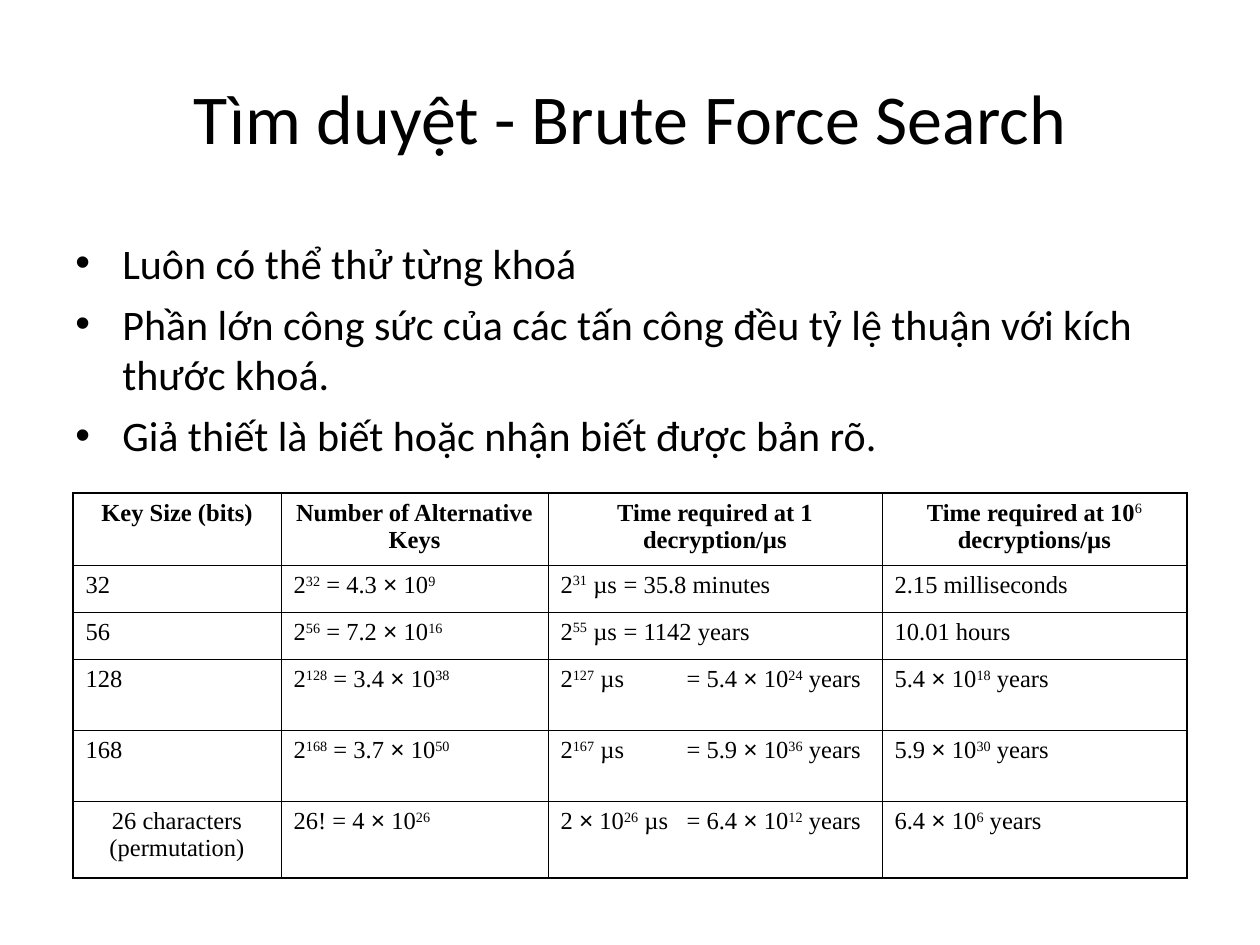
from lxml.etree import SubElement as Sub
from pptx import Presentation
from pptx.dml.color import RGBColor as RGB
from pptx.enum.text import MSO_ANCHOR as Anchor, PP_ALIGN as Align
from pptx.oxml import parse_xml
from pptx.oxml.ns import nsdecls, qn
from pptx.util import Pt

SCALE = 914400 / 126
BLACK = RGB(0, 0, 0)
BODY, SERIF, SIGN = "Calibri", "Times New Roman", "Arial"
THIN, THICK = Pt(0.45), Pt(1.08)

POINTS = [
    "Luôn có thể thử từng khoá",
    "Phần lớn công sức của các tấn công đều tỷ lệ thuận với kích thước khoá.",
    "Giả thiết là biết hoặc nhận biết được bản rõ.",
]
# Carets enclose superscripts.
ROWS = [
    ["Key Size (bits)", "Number of Alternative Keys",
     "Time required at 1 decryption/µs", "Time required at 10^6^ decryptions/µs"],
    ["32", "2^32^ = 4.3 × 10^9^", "2^31^ µs\t= 35.8 minutes", "2.15 milliseconds"],
    ["56", "2^56^ = 7.2 × 10^16^", "2^55^ µs\t= 1142 years", "10.01 hours"],
    ["128", "2^128^ = 3.4 × 10^38^", "2^127^ µs\t= 5.4 × 10^24^ years",
     "5.4 × 10^18^ years"],
    ["168", "2^168^ = 3.7 × 10^50^", "2^167^ µs\t= 5.9 × 10^36^ years",
     "5.9 × 10^30^ years"],
    ["26 characters (permutation)", "26! = 4 × 10^26^",
     "2 × 10^26^ µs\t= 6.4 × 10^12^ years", "6.4 × 10^6^ years"],
]
WIDTHS = [208, 267, 334, 305]
HEIGHTS = [72, 47, 47, 71, 71, 77]


def px(n):
    return round(n * SCALE)


def write(para, text, font=BODY, size=24, bold=False, align=Align.LEFT,
          before=0, after=0):
    """Fill a paragraph, raising text in carets and setting × in its own font."""
    para.alignment = align
    para.space_before, para.space_after = Pt(before), Pt(after)
    for i, part in enumerate(text.split("^")):
        raised = i % 2 == 1
        for piece in part.replace("×", "|×|").split("|"):
            if not piece:
                continue
            run = para.add_run()
            run.text = piece
            run.font.name = SIGN if piece == "×" else font
            run.font.size = Pt(size)
            run.font.bold = bold and not raised
            run.font.color.rgb = BLACK
            if raised:
                run.font._element.set("baseline", "30000")


def add_title(slide, text):
    title = slide.shapes.title
    title.left, title.top, title.width, title.height = map(px, (63, 38, 1134, 158))
    frame = title.text_frame
    frame.vertical_anchor = Anchor.MIDDLE
    write(frame.paragraphs[0], text, size=40, align=Align.CENTER)


def add_list(slide, items):
    box = slide.shapes.add_textbox(*map(px, (63, 231, 1134, 252)))
    frame = box.text_frame
    frame.word_wrap = True
    for i, item in enumerate(items):
        para = frame.add_paragraph() if i else frame.paragraphs[0]
        write(para, item, before=6)
        props = para._p.get_or_add_pPr()
        props.set("marL", str(px(47)))
        props.set("indent", str(-px(47)))
        Sub(props, qn("a:buFont"), typeface="Arial")
        Sub(props, qn("a:buChar"), char="•")


def set_edges(cell, widths):
    """Draw the left, right, top and bottom borders, in that order."""
    props = cell._tc.get_or_add_tcPr()
    for i, (side, width) in enumerate(zip("LRTB", widths)):
        props.insert(i, parse_xml(
            f'<a:ln{side} {nsdecls("a")} w="{width}"><a:solidFill>'
            f'<a:srgbClr val="{BLACK}"/></a:solidFill></a:ln{side}>'))


def add_grid(slide, rows):
    last, end = len(rows) - 1, len(WIDTHS) - 1
    table = slide.shapes.add_table(
        last + 1, end + 1, px(73), px(493), px(sum(WIDTHS)), px(sum(HEIGHTS))).table
    table.first_row = table.horz_banding = False
    for col, width in zip(table.columns, WIDTHS):
        col.width = px(width)
    for row, height in zip(table.rows, HEIGHTS):
        row.height = px(height)
    for r, row in enumerate(rows):
        for c, text in enumerate(row):
            cell = table.cell(r, c)
            cell.fill.background()
            outer = (c == 0, c == end, r == 0, r == last)
            set_edges(cell, [THICK if out else THIN for out in outer])
            mid = r == 0 or (r == last and c == 0)
            write(cell.text_frame.paragraphs[0], text, font=SERIF, size=14,
                  bold=r == 0, align=Align.CENTER if mid else Align.LEFT,
                  before=3, after=3)


def main():
    deck = Presentation()
    deck.slide_width, deck.slide_height = px(1260), px(945)
    slide = deck.slides.add_slide(deck.slide_layouts[5])
    add_title(slide, "Tìm duyệt - Brute Force Search")
    add_list(slide, POINTS)
    add_grid(slide, ROWS)
    deck.save("out.pptx")


if __name__ == "__main__":
    main()
